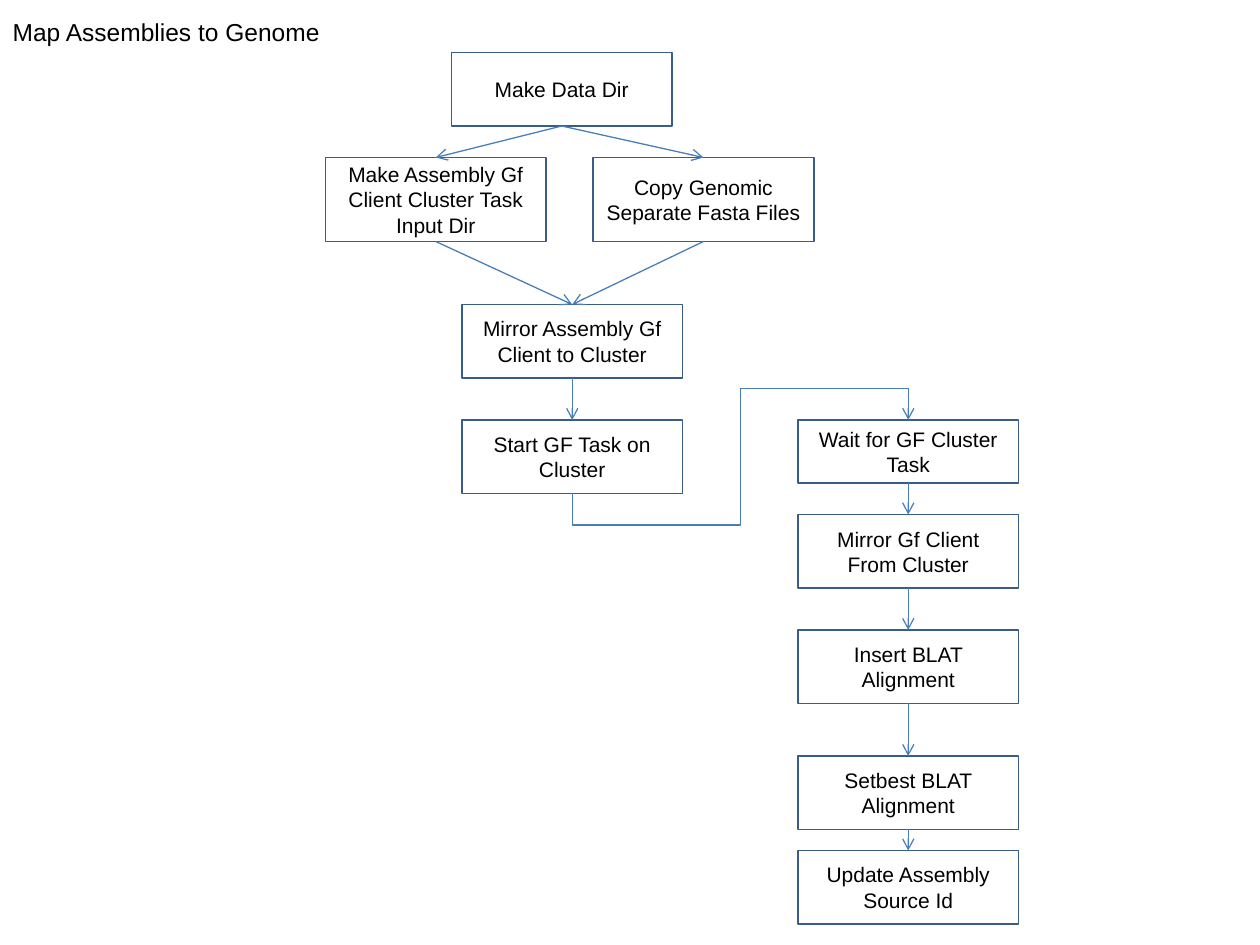
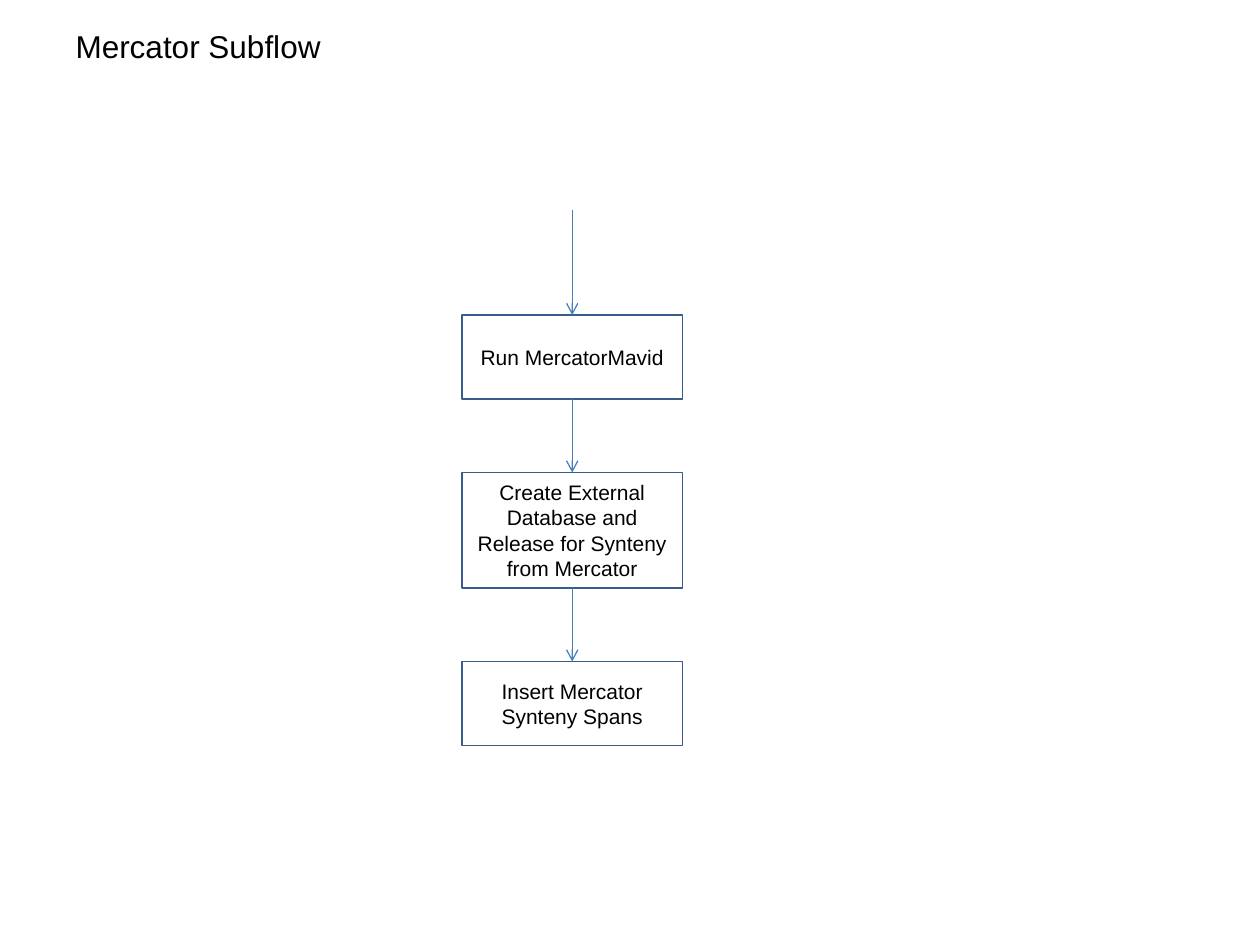
from lxml.etree import SubElement
from pptx import Presentation
from pptx.dml.color import RGBColor
from pptx.enum.shapes import MSO_CONNECTOR as Link, MSO_SHAPE as Shape
from pptx.enum.text import MSO_ANCHOR as Anchor, MSO_AUTO_SIZE as Fit, PP_ALIGN as Align
from pptx.oxml.ns import qn
from pptx.util import Pt

BLACK, EDGE, ARROW = "000000", "385D8A", "4A7EBB"
FONT = "Arial"
BOX_W = 126
TOP, BOTTOM = 0, 2  # connection sites of a rectangle


def write(shape, text, size, align, anchor):
    frame = shape.text_frame
    frame.text = text
    frame.word_wrap = True
    frame.auto_size = Fit.NONE
    frame.vertical_anchor = anchor
    line = frame.paragraphs[0]
    line.alignment = align
    font = line.runs[0].font
    font.name, font.size = FONT, Pt(size)
    font.color.rgb = RGBColor.from_string(BLACK)


def style(line, color, width, arrow=False):
    """Set the stroke of a connector or an outline, with an open arrowhead if asked."""
    line.color.rgb = RGBColor.from_string(color)
    line.width = Pt(width)
    if arrow:
        SubElement(line._get_or_add_ln(), qn("a:tailEnd"), type="arrow")


# Title, title place, title size, boxes (key: text, left, top, height), links
flows = [
    ("Map Assemblies to Genome", (0, 6, 234, 24), 14, {
        "data": ("Make Data Dir", 258, 30, 42),
        "input": ("Make Assembly Gf Client Cluster Task Input Dir", 186, 90, 48),
        "fasta": ("Copy Genomic Separate Fasta Files", 339, 90, 48),
        "send": ("Mirror Assembly Gf Client to Cluster", 264, 174, 42),
        "start": ("Start GF Task on Cluster", 264, 240, 42),
        "wait": ("Wait for GF Cluster Task", 456, 240, 36),
        "fetch": ("Mirror Gf Client From Cluster", 456, 294, 42),
        "insert": ("Insert BLAT Alignment", 456, 360, 42),
        "best": ("Setbest BLAT Alignment", 456, 432, 42),
        "update": ("Update Assembly Source Id", 456, 486, 42),
    }, ["data input", "data fasta", "input send", "fasta send", "send start",
        "wait fetch", "fetch insert", "insert best", "best update"]),
    ("Mercator Subflow", (36, 12, 198, 29), 18, {
        "run": ("Run MercatorMavid", 264, 180, 48),
        "create": ("Create External Database and Release for Synteny from Mercator",
                   264, 270, 66),
        "spans": ("Insert Mercator Synteny Spans", 264, 378, 48),
    }, ["run create", "create spans"]),
]

deck = Presentation()
deck.slide_width, deck.slide_height = Pt(720), Pt(540)
wires = []

for name, place, size, steps, links in flows:
    slide = deck.slides.add_slide(deck.slide_layouts[5])
    title = slide.shapes.title
    title.left, title.top, title.width, title.height = map(Pt, place)
    write(title, name, size, Align.LEFT, Anchor.TOP)

    boxes = {}
    for key, (text, left, top, height) in steps.items():
        box = slide.shapes.add_shape(
            Shape.RECTANGLE, Pt(left), Pt(top), Pt(BOX_W), Pt(height))
        box.shadow.inherit = False
        box.fill.background()
        style(box.line, EDGE, 1)
        write(box, text, 12, Align.CENTER, Anchor.MIDDLE)
        boxes[key] = box

    for pair in links:
        source, target = pair.split()
        wire = slide.shapes.add_connector(Link.STRAIGHT, 0, 0, 0, 0)
        wire.begin_connect(boxes[source], BOTTOM)
        wire.end_connect(boxes[target], TOP)
        wires.append(wire)

# Entry arrow into the Mercator subflow
wires.append(slide.shapes.add_connector(
    Link.STRAIGHT, Pt(327), Pt(120), Pt(327), Pt(180)))

# Five-part elbow from "Start GF Task" to "Wait for GF Cluster Task":
# laid out upright about its centre, then turned a quarter
mid_x, mid_y, rise, run = 423, 261, 42, 192
elbow = deck.slides[0].shapes.add_connector(
    Link.ELBOW, Pt(mid_x + rise / 2), Pt(mid_y + run / 2),
    Pt(mid_x - rise / 2), Pt(mid_y - run / 2))
props = elbow._element.spPr
props.find(qn("a:xfrm")).set("rot", str(90 * 60000))
geom = props.find(qn("a:prstGeom"))
geom.set("prst", "bentConnector5")
guides = geom.find(qn("a:avLst"))
if guides is None:
    guides = SubElement(geom, qn("a:avLst"))
for i, part in enumerate((-42857, 50000, 142857), 1):
    SubElement(guides, qn("a:gd"), name=f"adj{i}", fmla=f"val {part}")
wires.append(elbow)

for wire in wires:
    style(wire.line, ARROW, 0.75, arrow=True)
    SubElement(wire._element.spPr, qn("a:effectLst"))

deck.save("out.pptx")
